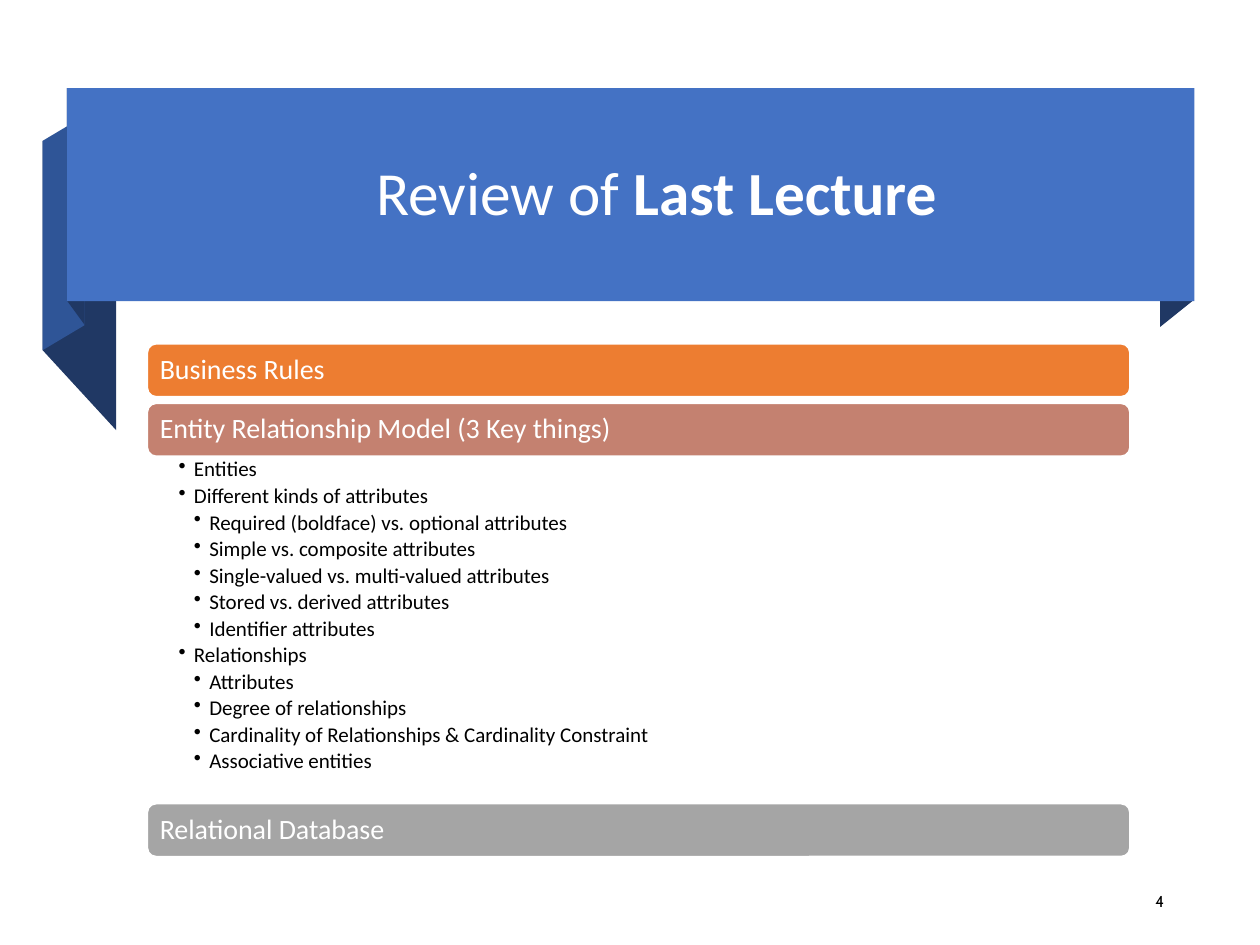
from lxml import etree
from pptx import Presentation
from pptx import util as u
from pptx.dml.color import RGBColor
from pptx.enum import shapes, text
from pptx.oxml.ns import qn

# Content
TITLE = [("Review of", False), (" Last Lecture", True)]
PAGE = "4"
TOPICS = [  # heading, bar colour, bullets as (level, words)
    ("Business Rules", "orange", []),
    ("Entity Relationship Model (3 Key things)", "rose", [
        (1, "Entities"),
        (1, "Different kinds of attributes"),
        (2, "Required (boldface) vs. optional attributes"),
        (2, "Simple vs. composite attributes"),
        (2, "Single-valued vs. multi-valued attributes"),
        (2, "Stored vs. derived attributes"),
        (2, "Identifier attributes"),
        (1, "Relationships"),
        (2, "Attributes"),
        (2, "Degree of relationships"),
        (2, "Cardinality of Relationships & Cardinality Constraint"),
        (2, "Associative entities"),
    ]),
    ("Relational Database", "grey", []),
]

THEME = {
    "font": "Calibri", "page_font": "Cabin",
    "title": 35, "heading": 16, "bullet": 12, "page": 9,
    "white": "FFFFFF", "black": "000000",
    "blue": "4472C4", "mid": "2F5597", "navy": "203864",
    "orange": "ED7D31", "rose": "C48170", "grey": "A5A5A5",
}

# Geometry in cm
BANNER = (1.35, 1.78, 22.73, 4.29)
FOLDS = [  # left x, its top, right x, its top, side height, colour
    (23.39, 2.31, 24.05, 1.78, 4.28, "navy"),
    (0.86, 2.84, 2.34, 4.45, 4.22, "navy"),
    (0.86, 2.84, 1.7, 2.34, 4.22, "mid"),
    (1.35, 1.78, 1.7, 2.26, 4.28, "navy"),
]
LEFT, TOP, WIDTH = 2.97, 6.93, 19.81
BAR_H, GAP, LIST_H = 1.07, 0.13, 7.0
INDENT = 0.31


def cm(*values):
    return [u.Cm(v) for v in values]


def color(name):
    return RGBColor.from_string(THEME[name])


def paint(sp, fill, line=None):
    sp.shadow.inherit = False
    sp.fill.solid()
    sp.fill.fore_color.rgb = color(fill)
    if line:
        sp.line.color.rgb = color(line)
        sp.line.width = u.Pt(1)
    else:
        sp.line.fill.background()


def frame(sp, left, top, right, bottom, anchor=text.MSO_ANCHOR.MIDDLE):
    tf = sp.text_frame
    tf.word_wrap = True
    tf.auto_size = text.MSO_AUTO_SIZE.NONE
    tf.vertical_anchor = anchor
    tf.margin_left, tf.margin_top, tf.margin_right, tf.margin_bottom = cm(
        left, top, right, bottom)
    return tf


def add_run(p, words, size, ink, font="font", bold=False):
    r = p.add_run()
    r.text = words
    r.font.name, r.font.size, r.font.bold = THEME[font], u.Pt(THEME[size]), bold
    r.font.color.rgb = color(ink)


def add_bar(s, y, words, fill):
    sp = s.shapes.add_shape(shapes.MSO_SHAPE.ROUNDED_RECTANGLE,
                            *cm(LEFT, y, WIDTH, BAR_H))
    paint(sp, fill, "white")
    p = frame(sp, 0.2, 0.1, 0.2, 0.1).paragraphs[0]
    p.alignment, p.line_spacing = text.PP_ALIGN.LEFT, 0.9
    add_run(p, words, "heading", "white")


def add_bullets(s, y, bullets):
    sp = s.shapes.add_textbox(*cm(LEFT, y, WIDTH, LIST_H))
    tf = frame(sp, 0.63, 0.05, 0.31, 0.05, text.MSO_ANCHOR.TOP)
    for i, (level, words) in enumerate(bullets):
        p = tf.add_paragraph() if i else tf.paragraphs[0]
        p.level, p.line_spacing, p.space_after = level, 0.9, u.Pt(2.2)
        pPr = p._p.get_or_add_pPr()
        pPr.set("marL", str(u.Cm(INDENT * level)))
        pPr.set("indent", str(-u.Cm(INDENT)))
        etree.SubElement(pPr, qn("a:buChar")).set("char", "•")
        add_run(p, words, "bullet", "black")


def main():
    prs = Presentation()
    prs.slide_width, prs.slide_height = cm(25.4, 19.05)
    s = prs.slides.add_slide(prs.slide_layouts[5])

    # Folded ribbon
    for x1, y1, x2, y2, height, fill in FOLDS:
        corners = [(x1, y1), (x2, y2), (x2, y2 + height), (x1, y1 + height)]
        points = [(round(x * 100), round(y * 100)) for x, y in corners]
        fb = s.shapes.build_freeform(*points[0], scale=u.Cm(0.01))
        fb.add_line_segments(points[1:], close=True)
        paint(fb.convert_to_shape(), fill)
    banner = s.shapes.add_shape(shapes.MSO_SHAPE.RECTANGLE, *cm(*BANNER))
    paint(banner, "blue")

    # Title, in front of the banner
    title = s.shapes.title
    title.left, title.top, title.width, title.height = cm(2.82, 2.11, 20.83, 3.68)
    banner.element.addnext(title.element)
    p = frame(title, 0.25, 0.13, 0.25, 0.13).paragraphs[0]
    p.alignment, p.line_spacing = text.PP_ALIGN.CENTER, 0.9
    for words, bold in TITLE:
        add_run(p, words, "title", "white", bold=bold)

    # Page number
    sp = s.shapes.add_textbox(*cm(22.3, 17.73, 1.42, 0.89))
    p = frame(sp, 0.25, 0.13, 0.25, 0.13).paragraphs[0]
    p.alignment, p.space_after = text.PP_ALIGN.RIGHT, u.Pt(6)
    add_run(p, PAGE, "page", "black", "page_font")

    # Topics stacked from the top down
    y = TOP
    for heading, fill, bullets in TOPICS:
        add_bar(s, y, heading, fill)
        y += BAR_H
        if bullets:
            add_bullets(s, y, bullets)
            y += LIST_H
        else:
            y += GAP

    prs.save("out.pptx")


if __name__ == "__main__":
    main()
